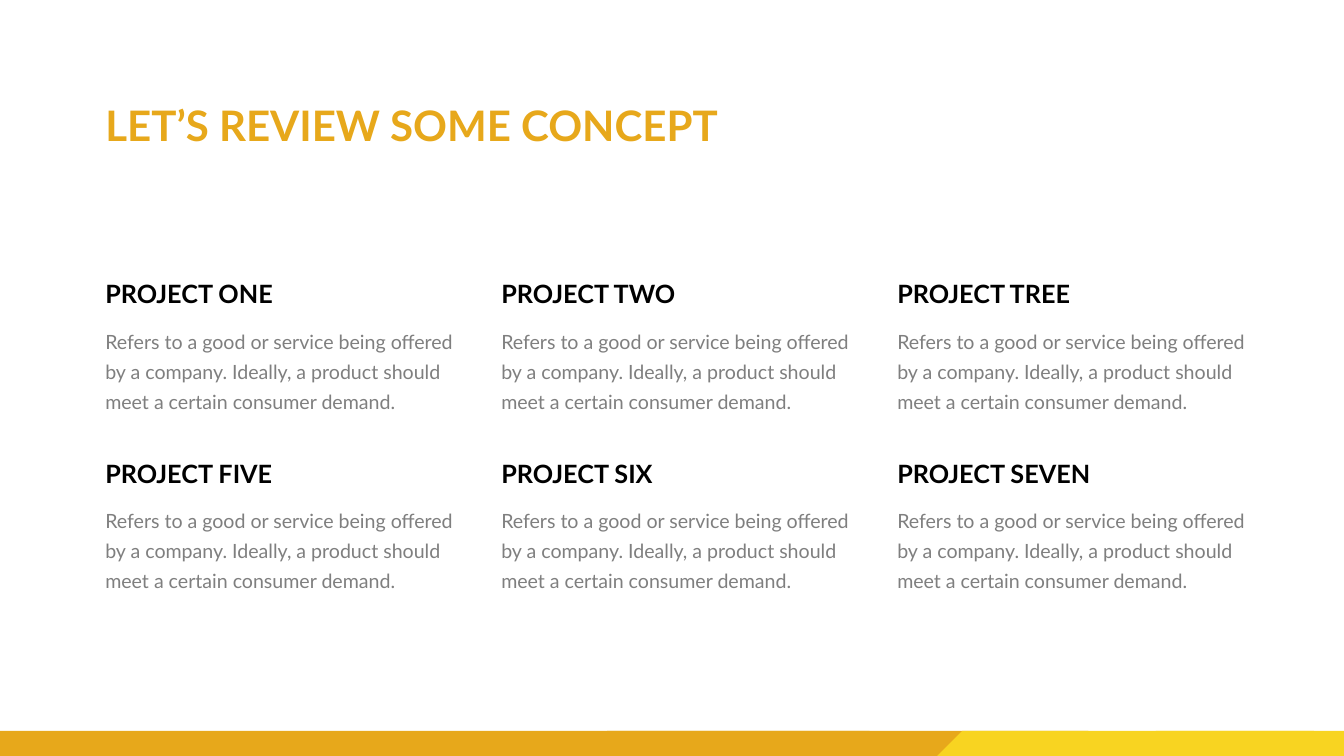
"""Build a slide with a title, a grid of six projects and a two-colour footer band."""
from pptx import Presentation
from pptx.dml.color import RGBColor
from pptx.enum.shapes import MSO_SHAPE
from pptx.enum.text import MSO_ANCHOR, MSO_AUTO_SIZE, PP_ALIGN
from pptx.util import Inches, Pt

WIDTH, HEIGHT = 26.66, 15
LEFT, COLUMN_STEP = 1.99, 7.855
TOP, ROW_STEP = 5.48, 3.56
BODY_OFFSET = 0.88
BAND_HEIGHT = HEIGHT / 30
ORANGE, YELLOW, BLACK, GREY = "E7A81B", "F8D421", "000000", "7F7F7F"
DESCRIPTION = (
    "Refers to a good or service being offered by a company. "
    "Ideally, a product should meet a certain consumer demand."
)
PROJECTS = [
    ["PROJECT ONE", "PROJECT TWO", "PROJECT TREE"],
    ["PROJECT FIVE", "PROJECT SIX", "PROJECT SEVEN"],
]
BAND = [
    (MSO_SHAPE.RECTANGLE, 0, 17.25, 0, ORANGE),
    (MSO_SHAPE.PARALLELOGRAM, 11.55, 10.04, 0, ORANGE),
    (MSO_SHAPE.RECTANGLE, 22.93, WIDTH - 22.93, 180, YELLOW),
    (MSO_SHAPE.PARALLELOGRAM, 18.59, 7.47, 180, YELLOW),
]


def set_color(color_format, color):
    """Apply a hex colour to a font or a fill."""
    color_format.rgb = RGBColor.from_string(color)


def write_text(shape, text, size, color, bold=False, line_spacing=None):
    """Fill a text shape with one formatted paragraph."""
    frame = shape.text_frame
    frame.word_wrap = True
    frame.auto_size = MSO_AUTO_SIZE.SHAPE_TO_FIT_TEXT
    frame.vertical_anchor = MSO_ANCHOR.TOP
    frame.text = text
    paragraph = frame.paragraphs[0]
    paragraph.alignment = PP_ALIGN.LEFT
    paragraph.line_spacing = line_spacing
    paragraph.font.name = "Lato"
    paragraph.font.size = Pt(size)
    paragraph.font.bold = bold
    set_color(paragraph.font.color, color)


presentation = Presentation()
presentation.slide_width = Inches(WIDTH)
presentation.slide_height = Inches(HEIGHT)
slide = presentation.slides.add_slide(presentation.slide_layouts[5])

title = slide.shapes.title
title.left, title.top = Inches(LEFT), Inches(1.92)
title.width, title.height = Inches(16.01), Inches(1.11)
write_text(title, "LET’S REVIEW SOME CONCEPT", 60, ORANGE, bold=True)

for row, names in enumerate(PROJECTS):
    for column, name in enumerate(names):
        left = Inches(LEFT + column * COLUMN_STEP)
        top = TOP + row * ROW_STEP
        body = slide.shapes.add_textbox(
            left, Inches(top + BODY_OFFSET), Inches(7.18), Inches(1.91)
        )
        write_text(body, DESCRIPTION, 28, GREY, line_spacing=Pt(43))
        heading = slide.shapes.add_textbox(left, Inches(top), Inches(4.08), Inches(0.71))
        write_text(heading, name, 36, BLACK, bold=True)

for kind, left, width, rotation, color in BAND:
    shape = slide.shapes.add_shape(
        kind, Inches(left), Inches(HEIGHT - BAND_HEIGHT), Inches(width), Inches(BAND_HEIGHT)
    )
    shape.shadow.inherit = False
    shape.rotation = rotation
    shape.fill.solid()
    set_color(shape.fill.fore_color, color)
    shape.line.fill.background()
    if kind == MSO_SHAPE.PARALLELOGRAM:
        shape.adjustments[0] = 1

presentation.save("out.pptx")
